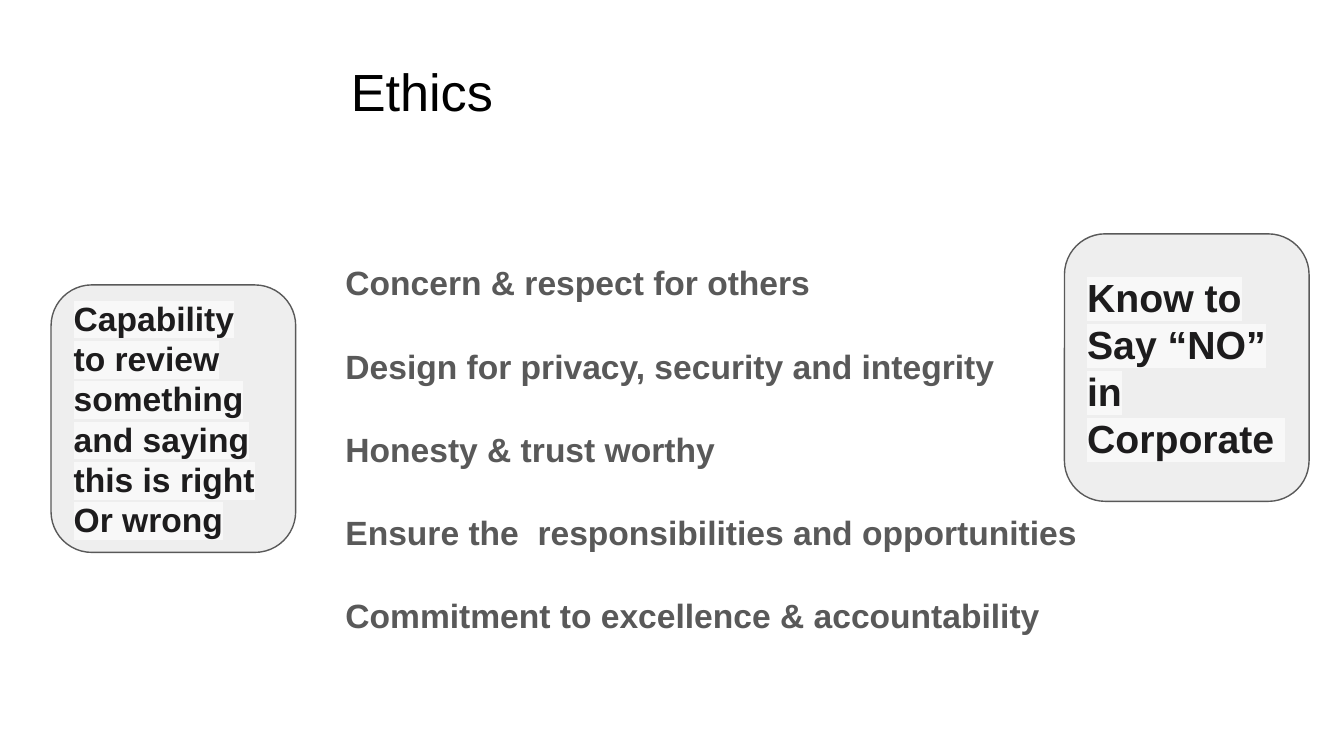
from lxml.etree import SubElement
from pptx import Presentation
from pptx.dml.color import RGBColor
from pptx.enum.shapes import MSO_SHAPE as Shape
from pptx.enum.text import MSO_ANCHOR as Anchor, PP_ALIGN as Align
from pptx.oxml.ns import qn
from pptx.util import Inches, Pt

BLACK = RGBColor(0x00, 0x00, 0x00)
GRAY = RGBColor(0x59, 0x59, 0x59)
INK = RGBColor(0x1D, 0x1C, 0x1D)
PANEL = RGBColor(0xEE, 0xEE, 0xEE)
HIGHLIGHT = RGBColor(0xF8, 0xF8, 0xF8)

TITLE = "Ethics"
PRINCIPLES = [
    "Concern & respect for others",
    "Design for privacy, security and integrity",
    "Honesty & trust worthy",
    "Ensure the  responsibilities and opportunities",
    "Commitment to excellence & accountability",
]
CALLOUTS = [
    ("Capability to review something and saying this is right Or wrong", 0.38, 2.12, 18),
    ("Know to Say “NO” in Corporate ", 7.92, 1.74, 21),
]
TEXT_LEFT, TEXT_WIDTH = 2.43, 6.15
CALLOUT_WIDTH, CALLOUT_HEIGHT = 1.82, 1.99


def set_frame(frame, anchor, side, edge):
    frame.word_wrap = True
    frame.vertical_anchor = anchor
    frame.margin_left = frame.margin_right = Inches(side)
    frame.margin_top = frame.margin_bottom = Inches(edge)


def set_font(font, size, color, bold=False):
    font.name = "Arial"
    font.size = Pt(size)
    font.bold = bold
    font.color.rgb = color


def add_text(page, lines, top, height, anchor, indent, size, color, bold, spacing, gap):
    box = page.shapes.add_textbox(
        Inches(TEXT_LEFT), Inches(top), Inches(TEXT_WIDTH), Inches(height))
    frame = box.text_frame
    set_frame(frame, anchor, 0.07 + indent, 0.04)
    frame.text = "\n".join(lines)
    for index, para in enumerate(frame.paragraphs):
        para.line_spacing = spacing
        para.space_before = Pt(gap if index else 0)
        set_font(para.font, size, color, bold)


def add_callout(page, text, left, top, size):
    box = page.shapes.add_shape(
        Shape.ROUNDED_RECTANGLE, Inches(left), Inches(top),
        Inches(CALLOUT_WIDTH), Inches(CALLOUT_HEIGHT))
    box.shadow.inherit = False
    box.fill.solid()
    box.fill.fore_color.rgb = PANEL
    box.line.color.rgb = GRAY
    box.line.width = Pt(0.75)
    set_frame(box.text_frame, Anchor.MIDDLE, 0.08, 0.07)
    para = box.text_frame.paragraphs[0]
    para.alignment = Align.LEFT
    span = para.add_run()
    span.text = text
    set_font(span.font, size, INK, True)
    properties = span._r.get_or_add_rPr()
    highlight = SubElement(properties, qn("a:highlight"))
    SubElement(highlight, qn("a:srgbClr"), val=str(HIGHLIGHT))
    properties.find(qn("a:solidFill")).addnext(highlight)


def main():
    deck = Presentation()
    deck.slide_width = Inches(10)
    deck.slide_height = deck.slide_width * 9 // 16
    page = deck.slides.add_slide(deck.slide_layouts[6])
    add_text(page, [TITLE], 0.23, 0.94, Anchor.MIDDLE, 0.11, 28, BLACK, False, 0.9, 0)
    add_text(page, PRINCIPLES, 1.97, 3.16, Anchor.TOP, 0.07, 18, GRAY, True, 0.8, 27.2)
    for callout in CALLOUTS:
        add_callout(page, *callout)
    deck.save("out.pptx")


if __name__ == "__main__":
    main()
